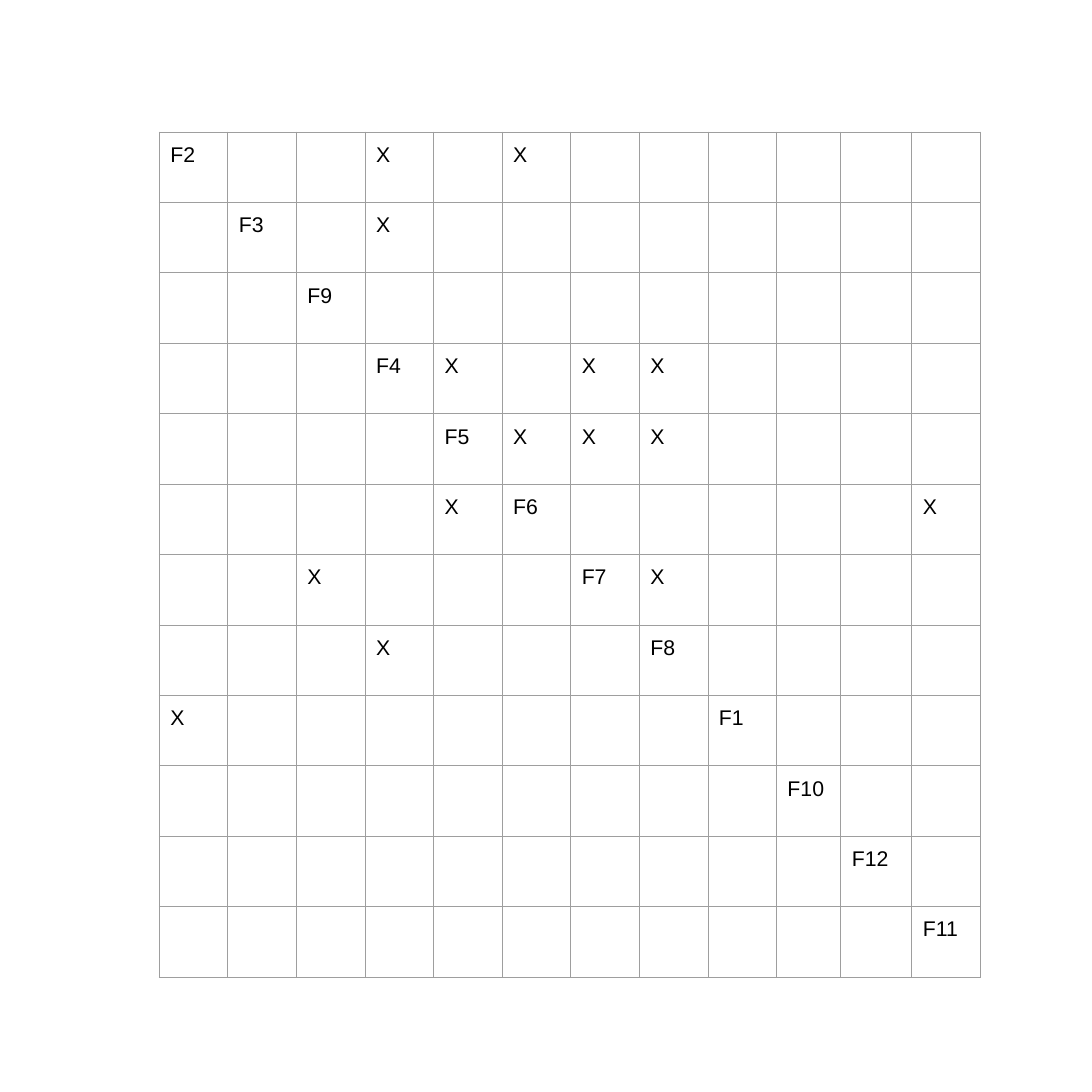
from lxml.etree import SubElement
from pptx import Presentation
from pptx.dml.color import RGBColor as Color
from pptx.oxml.ns import qn
from pptx.util import Inches, Pt

# Content: diagonal labels and the columns marked in each row
FEATURES = ["F2", "F3", "F9", "F4", "F5", "F6", "F7", "F8", "F1", "F10", "F12", "F11"]
MARKS = [(3, 5), (3,), (), (4, 6, 7), (5, 6, 7), (4, 11), (2, 7), (3,), (0,), (), (), ()]
MARK = "X"

COLORS = {"text": "000000", "border": "9E9E9E"}
LEFT, TOP, WIDTH, HEIGHT = 1.46, 1.21, 7.52, 7.74
SPECIAL_WIDTHS = {9: 0.59, 10: 0.65}
INSET = Inches(0.1)


def add_borders(cell):
    properties = cell._tc.get_or_add_tcPr()
    for side in ("lnL", "lnR", "lnT", "lnB"):
        line = SubElement(properties, qn(f"a:{side}"), w=str(Pt(0.75)))
        fill = SubElement(line, qn("a:solidFill"))
        SubElement(fill, qn("a:srgbClr"), val=COLORS["border"])


def write_cell(cell, text):
    cell.text_frame.text = text
    for span in cell.text_frame.paragraphs[0].runs:
        span.font.name = "Arial"
        span.font.size = Pt(14)
        span.font.color.rgb = Color.from_string(COLORS["text"])


def main():
    deck = Presentation()
    deck.slide_width = deck.slide_height = Inches(10)
    page = deck.slides.add_slide(deck.slide_layouts[6])

    # Matrix grid
    size = len(FEATURES)
    frame = page.shapes.add_table(size, size, Inches(LEFT), Inches(TOP),
                                  Inches(WIDTH), Inches(HEIGHT))
    table = frame.table
    table.first_row = table.horz_banding = False
    usual_width = (WIDTH - sum(SPECIAL_WIDTHS.values())) / (size - len(SPECIAL_WIDTHS))
    for index, column in enumerate(table.columns):
        column.width = Inches(SPECIAL_WIDTHS.get(index, usual_width))
    for row in table.rows:
        row.height = Inches(HEIGHT / size)

    # Cells
    for row, (feature, marked) in enumerate(zip(FEATURES, MARKS)):
        for column in range(size):
            cell = table.cell(row, column)
            add_borders(cell)
            cell.fill.background()
            cell.margin_left = cell.margin_right = INSET
            cell.margin_top = cell.margin_bottom = INSET
            if column == row:
                write_cell(cell, feature)
            elif column in marked:
                write_cell(cell, MARK)

    deck.save("out.pptx")


if __name__ == "__main__":
    main()
